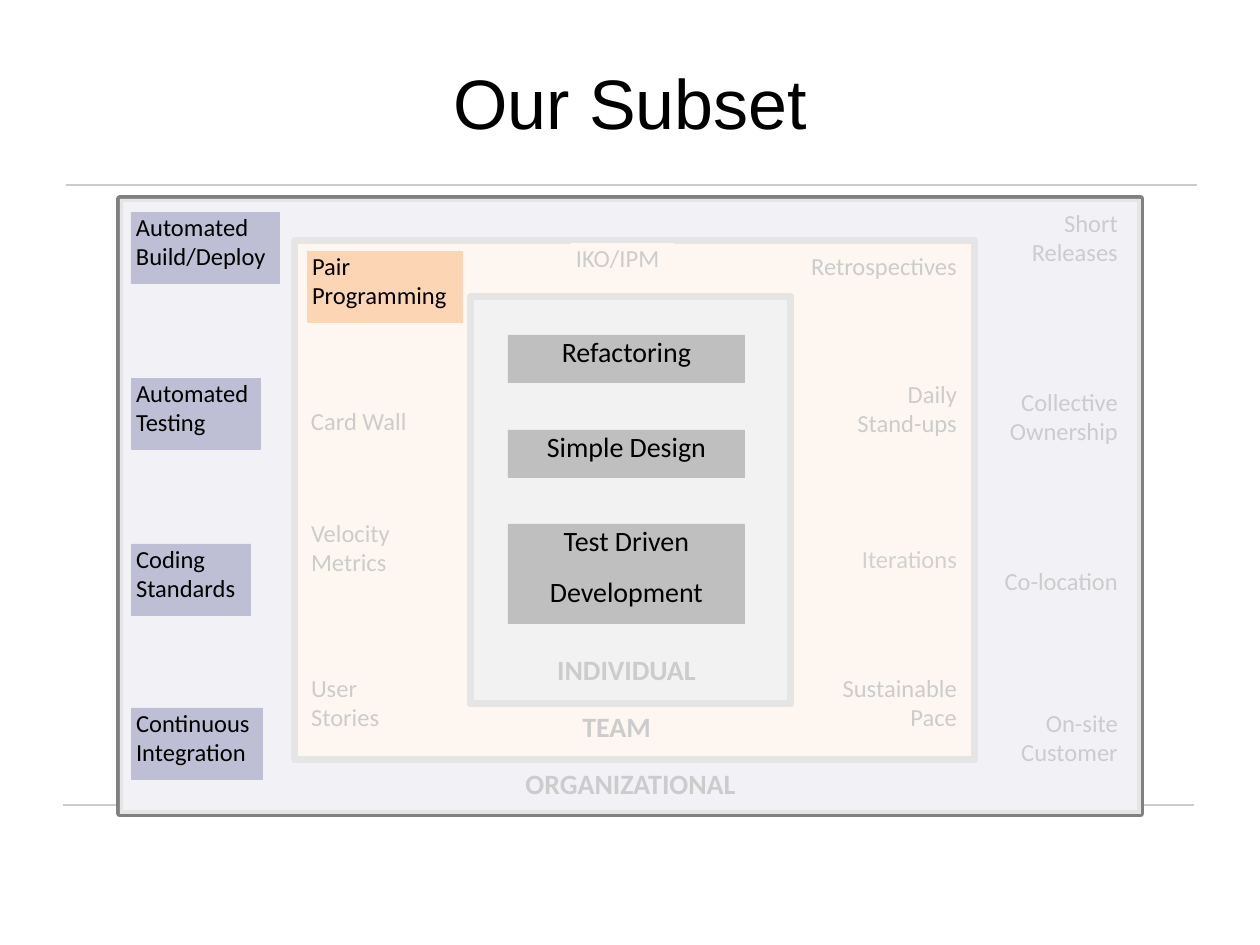
import dataclasses

import pptx
import pptx.dml.color
import pptx.enum.shapes
import pptx.enum.text
import pptx.oxml.ns
import pptx.util
from lxml import etree

ALIGN = pptx.enum.text.PP_ALIGN
ANCHOR = pptx.enum.text.MSO_ANCHOR
PX = pptx.util.Inches(1) / 126


@dataclasses.dataclass(frozen=True)
class Theme:
    ink: str = "000000"
    soft_ink: str = "191919"
    rule: str = "CCCCCC"
    border: str = "808080"
    veil: str = "FFFFFF"
    organization: str = "BEBED4"
    team: str = "FCD5B5"
    individual: str = "BFBFBF"
    title_font: str = "Arial"
    body_font: str = "Calibri"
    title_size: int = 40
    heading_size: int = 16
    label_size: int = 14
    border_width: int = 4
    practice_gap: float = 9.9


THEME = Theme()


def px(length):
    return pptx.util.Emu(round(length * PX))


def rgb(color):
    return pptx.dml.color.RGBColor.from_string(color)


def style_font(font, name, size, color, bold=False):
    font.name, font.size, font.bold = name, pptx.util.Pt(size), bold
    font.color.rgb = rgb(color)


def add_title(page, text):
    title = page.shapes.title
    title.left, title.top, title.width, title.height = map(px, (63, 38, 1134, 127))
    title.text_frame.text = text
    title.text_frame.vertical_anchor = ANCHOR.MIDDLE
    para = title.text_frame.paragraphs[0]
    para.alignment = ALIGN.CENTER
    style_font(para.font, THEME.title_font, THEME.title_size, THEME.ink)


def add_rule(page, left, right, y):
    rule = page.shapes.add_connector(
        pptx.enum.shapes.MSO_CONNECTOR.STRAIGHT, px(left), px(y), px(right), px(y))
    rule.line.color.rgb = rgb(THEME.rule)
    rule.line.width = pptx.util.Pt(1)
    etree.SubElement(rule.element.spPr, pptx.oxml.ns.qn("a:effectLst"))


def add_box(page, left, top, width, height, fill):
    box = page.shapes.add_shape(
        pptx.enum.shapes.MSO_SHAPE.RECTANGLE, px(left), px(top), px(width), px(height))
    box.shadow.inherit = False
    box.fill.solid()
    box.fill.fore_color.rgb = rgb(fill)
    box.line.fill.background()
    return box


def add_frame(page, left, top, width, height, fill):
    frame = add_box(page, left, top, width, height, fill)
    frame.line.color.rgb = rgb(THEME.border)
    frame.line.width = pptx.util.Pt(THEME.border_width)


def add_veil(page, left, top, width, height, opacity):
    veil = add_box(page, left, top, width, height, THEME.veil)
    color = veil.element.spPr.find(".//" + pptx.oxml.ns.qn("a:srgbClr"))
    alpha = etree.SubElement(color, pptx.oxml.ns.qn("a:alpha"))
    alpha.set("val", str(opacity * 1000))


def add_label(page, text, left, top, width, height, fill, align=ALIGN.LEFT,
              size=THEME.label_size, color=THEME.ink, bold=False, gap=0):
    frame = add_box(page, left, top, width, height, fill).text_frame
    frame.word_wrap = True
    frame.vertical_anchor = ANCHOR.TOP
    frame.margin_left = frame.margin_right = px(5)
    frame.margin_top = frame.margin_bottom = 0
    for index, line in enumerate(text.split("\n")):
        para = frame.add_paragraph() if index else frame.paragraphs[0]
        para.text = line
        para.alignment = align
        para.space_before = pptx.util.Pt(gap)
        style_font(para.font, THEME.body_font, size, color, bold)


def add_heading(page, text, left, top, width, fill):
    add_label(page, text, left, top, width, 34, fill, ALIGN.CENTER,
              THEME.heading_size, bold=True)


def label_height(text, two_lines):
    return two_lines if "\n" in text else 30


def add_left_column(page, left, fill, rows):
    for text, top, width in rows:
        add_label(page, text, left, top, width, label_height(text, 72), fill)


def add_right_column(page, right, fill, rows, color=THEME.ink):
    for text, top, width in rows:
        add_label(page, text, right - width, top, width, label_height(text, 66),
                  fill, ALIGN.RIGHT, color=color)


def add_organization(page, area):
    add_frame(page, *area, THEME.organization)
    add_heading(page, "ORGANIZATIONAL", 470, 767, 321, THEME.organization)
    add_right_column(page, 1123, THEME.organization, [
        ("Short\nReleases", 208, 108), ("Collective\nOwnership", 387, 123),
        ("Co-location", 566, 132), ("On-site\nCustomer", 708, 113)])


def add_team(page):
    add_frame(page, 295, 241, 680, 519, THEME.team)
    add_heading(page, "TEAM", 456, 709, 321, THEME.team)
    add_left_column(page, 571, THEME.team, [("IKO/IPM", 243, 103)])
    add_left_column(page, 306, THEME.team, [
        ("Card Wall", 406, 115), ("Velocity\nMetrics", 518, 94),
        ("User\nStories", 673, 84)])
    add_right_column(page, 962, THEME.team, [
        ("Retrospectives", 251, 169), ("Daily\nStand-ups", 379, 118),
        ("Sustainable\nPace", 673, 135)])
    add_right_column(page, 962, THEME.team, [("Iterations", 544, 107)],
                     THEME.soft_ink)


def add_individual(page):
    add_frame(page, 470, 297, 321, 407, THEME.individual)
    add_heading(page, "INDIVIDUAL", 508, 653, 237, THEME.individual)


def add_subset(page):
    add_left_column(page, 131, THEME.organization, [
        ("Automated\nBuild/Deploy", 212, 149), ("Automated\nTesting", 378, 130),
        ("Coding\nStandards", 544, 120), ("Continuous\nIntegration", 708, 132)])
    add_left_column(page, 307, THEME.team, [("Pair\nProgramming", 251, 156)])
    practices = [("Refactoring", 335, 48), ("Simple Design", 430, 48),
                 ("Test Driven\nDevelopment", 524, 100)]
    for text, top, height in practices:
        add_label(page, text, 508, top, 237, height, THEME.individual,
                  ALIGN.CENTER, THEME.heading_size, gap=THEME.practice_gap)


def main():
    deck = pptx.Presentation()
    deck.slide_width, deck.slide_height = px(1260), px(945)
    page = deck.slides.add_slide(deck.slide_layouts[5])

    # Title and page rules
    add_title(page, "Our Subset")
    add_rule(page, 63, 1194, 805)
    add_rule(page, 66, 1197, 185)

    # Nested levels of practice, faded by a veil
    area = (120, 199, 1021, 615)
    add_organization(page, area)
    add_team(page)
    add_individual(page)
    add_veil(page, *area, opacity=80)

    # Practices that stand out above the veil
    add_subset(page)
    deck.save("out.pptx")


if __name__ == "__main__":
    main()
